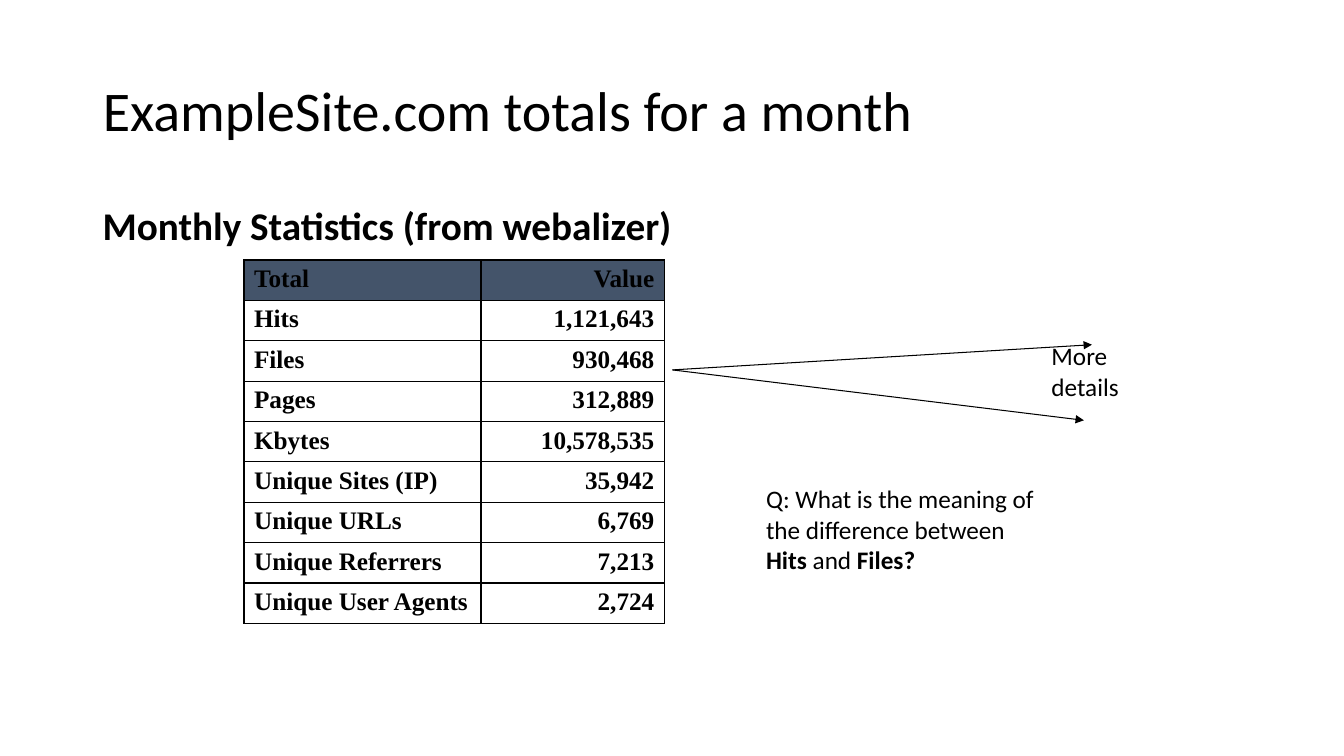
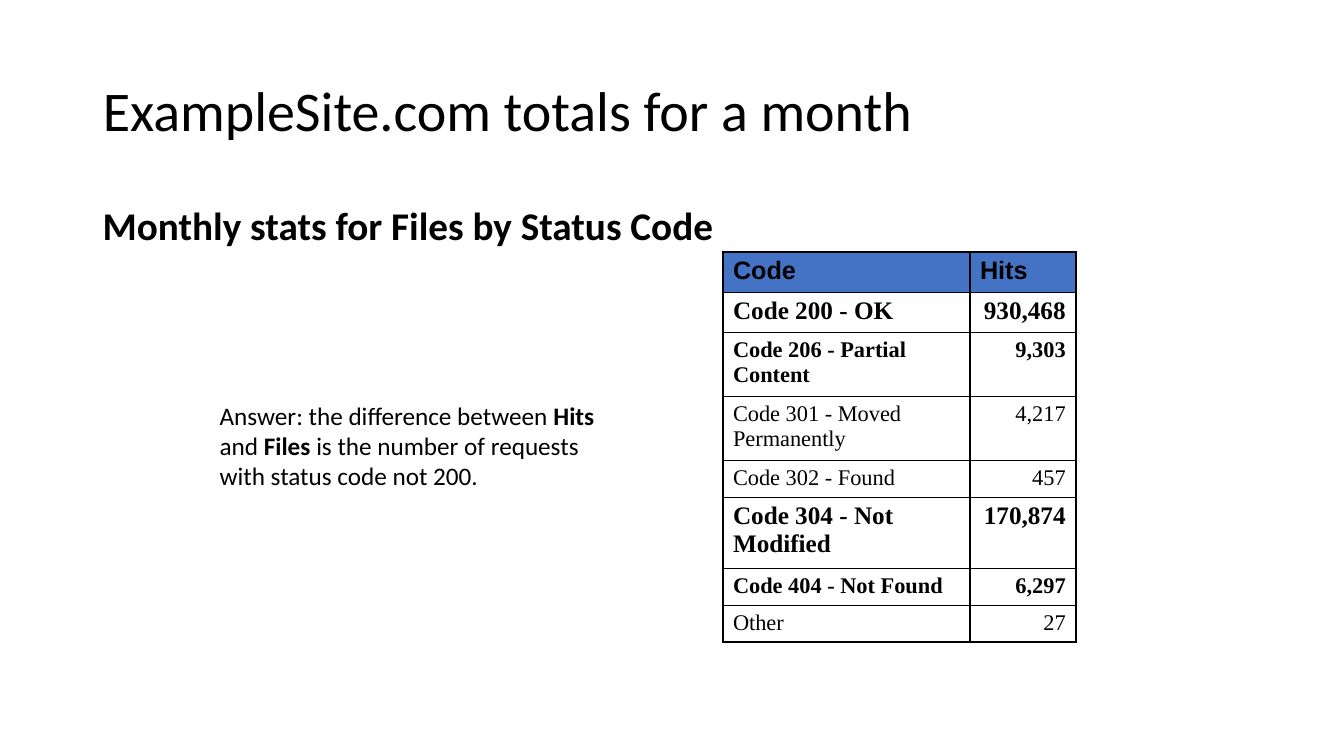
from dataclasses import dataclass

from pptx import Presentation
from pptx.dml.color import RGBColor
from pptx.enum.shapes import MSO_CONNECTOR
from pptx.enum.text import MSO_ANCHOR, MSO_AUTO_SIZE, PP_ALIGN
from pptx.oxml.ns import qn
from pptx.util import Inches, Pt
from lxml.etree import SubElement


@dataclass(frozen=True)
class Theme:
    ink: str = "000000"
    slate: str = "44546A"
    blue: str = "4472C4"
    sans: str = "Calibri"
    serif: str = "Times New Roman"
    header_sans: str = "Arial"
    title_size: int = 40
    subtitle_size: int = 28
    text_size: int = 18
    small_size: int = 16
    line_spacing: float = 0.9
    thin: float = 0.75
    medium: float = 1
    thick: float = 2


@dataclass(frozen=True)
class Row:
    label: str
    value: str
    size: int
    bold: bool = True
    font: str = Theme.serif
    fill: str | None = None
    value_align: PP_ALIGN = PP_ALIGN.RIGHT


class SlideBuilder:
    def __init__(self, deck, theme):
        self.deck = deck
        self.theme = theme
        self.page = None

    def add_page(self, title, subtitle):
        theme = self.theme
        self.page = self.deck.slides.add_slide(self.deck.slide_layouts[5])
        box = self.page.shapes.title
        box.left, box.top = Inches(0.92), Inches(0.4)
        box.width, box.height = Inches(11.5), Inches(1.45)
        frame = box.text_frame
        frame.auto_size = MSO_AUTO_SIZE.NONE
        frame.vertical_anchor = MSO_ANCHOR.MIDDLE
        para = frame.paragraphs[0]
        para.alignment = PP_ALIGN.LEFT
        para.line_spacing = theme.line_spacing
        self.add_span(para, title, theme.title_size)
        self.add_text(0.92, 2, 11.5, 0.55, [[(subtitle, True)]],
                      size=theme.subtitle_size, spacing=theme.line_spacing)

    def add_span(self, para, text, size, bold=False, font=None):
        span = para.add_run()
        span.text = text
        span.font.name = font or self.theme.sans
        span.font.size = Pt(size)
        span.font.bold = bold
        span.font.color.rgb = RGBColor.from_string(self.theme.ink)

    def add_text(self, left, top, width, height, paragraphs,
                 size=None, spacing=None, wrap=True):
        """Each paragraph is a list of (text, bold) pairs."""
        box = self.page.shapes.add_textbox(
            Inches(left), Inches(top), Inches(width), Inches(height))
        frame = box.text_frame
        frame.word_wrap = wrap
        frame.auto_size = MSO_AUTO_SIZE.SHAPE_TO_FIT_TEXT
        for index, spans in enumerate(paragraphs):
            para = frame.add_paragraph() if index else frame.paragraphs[0]
            para.line_spacing = spacing
            for text, bold in spans:
                self.add_span(para, text, size or self.theme.text_size, bold)

    def add_arrow(self, start, end):
        line = self.page.shapes.add_connector(
            MSO_CONNECTOR.STRAIGHT, *map(Inches, start + end))
        line.line.width = Pt(self.theme.thin)
        line.line.color.rgb = RGBColor.from_string(self.theme.ink)
        properties = line._element.spPr
        SubElement(properties.find(qn("a:ln")), qn("a:tailEnd"), type="triangle")
        SubElement(properties, qn("a:effectLst"))

    def add_border(self, cell, side, width):
        line = SubElement(cell._tc.get_or_add_tcPr(), qn(f"a:ln{side}"), w=str(Pt(width)))
        SubElement(SubElement(line, qn("a:solidFill")), qn("a:srgbClr"), val=self.theme.ink)

    def add_table(self, left, top, widths, row_height, rows, across, down):
        """Widths of the rules: across from top to bottom, down from left to right."""
        table = self.page.shapes.add_table(
            len(rows), len(widths), Inches(left), Inches(top),
            Inches(sum(widths)), Inches(row_height * len(rows))).table
        table.first_row = table.horz_banding = False
        for column, width in zip(table.columns, widths):
            column.width = Inches(width)
        for r, row in enumerate(rows):
            table.rows[r].height = Inches(row_height)
            entries = (row.label, PP_ALIGN.LEFT), (row.value, row.value_align)
            for c, (text, alignment) in enumerate(entries):
                cell = table.cell(r, c)
                borders = {"L": down[c], "R": down[c + 1],
                           "T": across[r], "B": across[r + 1]}
                for side, width in borders.items():
                    self.add_border(cell, side, width)
                if row.fill:
                    cell.fill.solid()
                    cell.fill.fore_color.rgb = RGBColor.from_string(row.fill)
                else:
                    cell.fill.background()
                para = cell.text_frame.paragraphs[0]
                para.alignment = alignment
                self.add_span(para, text, row.size, row.bold, row.font)


def add_totals_page(builder, title):
    theme = builder.theme
    builder.add_page(title, "Monthly Statistics (from webalizer)")
    totals = [
        ("Hits", "1,121,643"),
        ("Files", "930,468"),
        ("Pages", "312,889"),
        ("Kbytes", "10,578,535"),
        ("Unique Sites (IP)", "35,942"),
        ("Unique URLs", "6,769"),
        ("Unique Referrers", "7,213"),
        ("Unique User Agents", "2,724"),
    ]
    rows = [Row("Total", "Value", theme.text_size, fill=theme.slate)]
    rows += [Row(label, value, theme.text_size) for label, value in totals]
    builder.add_table(2.42, 2.58, (2.35, 1.82), 0.39, rows,
                      across=[theme.medium] * (len(rows) + 1),
                      down=[theme.medium] * 3)
    for end in ((10.83, 3.42), (10.75, 4.17)):
        builder.add_arrow((6.67, 3.67), end)
    builder.add_text(10.33, 3.33, 0.88, 0.71,
                     [[("More", False)], [("details", False)]], wrap=False)
    builder.add_text(7.5, 4.75, 3, 1.01, [[
        ("Q: What is the meaning of the difference between ", False),
        ("Hits ", True), ("and", False), (" Files?", True)]])


def add_status_page(builder, title):
    theme = builder.theme
    large, small = theme.text_size, theme.small_size
    builder.add_page(title, "Monthly stats for Files by Status Code")
    rows = [
        Row("Code", "Hits", large, font=theme.header_sans, fill=theme.blue,
            value_align=PP_ALIGN.LEFT),
        Row("Code 200 - OK", "930,468", large),
        Row("Code 206 - Partial Content", "9,303", small),
        Row("Code 301 - Moved Permanently", "4,217", small, bold=False),
        Row("Code 302 - Found", "457", small, bold=False),
        Row("Code 304 - Not Modified", "170,874", large),
        Row("Code 404 - Not Found", "6,297", small),
        Row("Other", "27", small, bold=False),
    ]
    across = [theme.medium] * 3 + [theme.thin] * 5 + [theme.medium]
    builder.add_table(7.17, 2.5, (2.45, 1.05), 0.35, rows, across,
                      down=[theme.thick, theme.medium, theme.thick])
    builder.add_text(2.08, 3.92, 3.92, 1.01, [[
        ("Answer: the difference between ", False), ("Hits ", True),
        ("and", False), (" Files ", True),
        ("is the number of requests with status code not 200.", False)]])


def main():
    deck = Presentation()
    deck.slide_width, deck.slide_height = Inches(13.33), Inches(7.5)
    builder = SlideBuilder(deck, Theme())
    title = "ExampleSite.com totals for a month"
    add_totals_page(builder, title)
    add_status_page(builder, title)
    deck.save("out.pptx")


if __name__ == "__main__":
    main()
